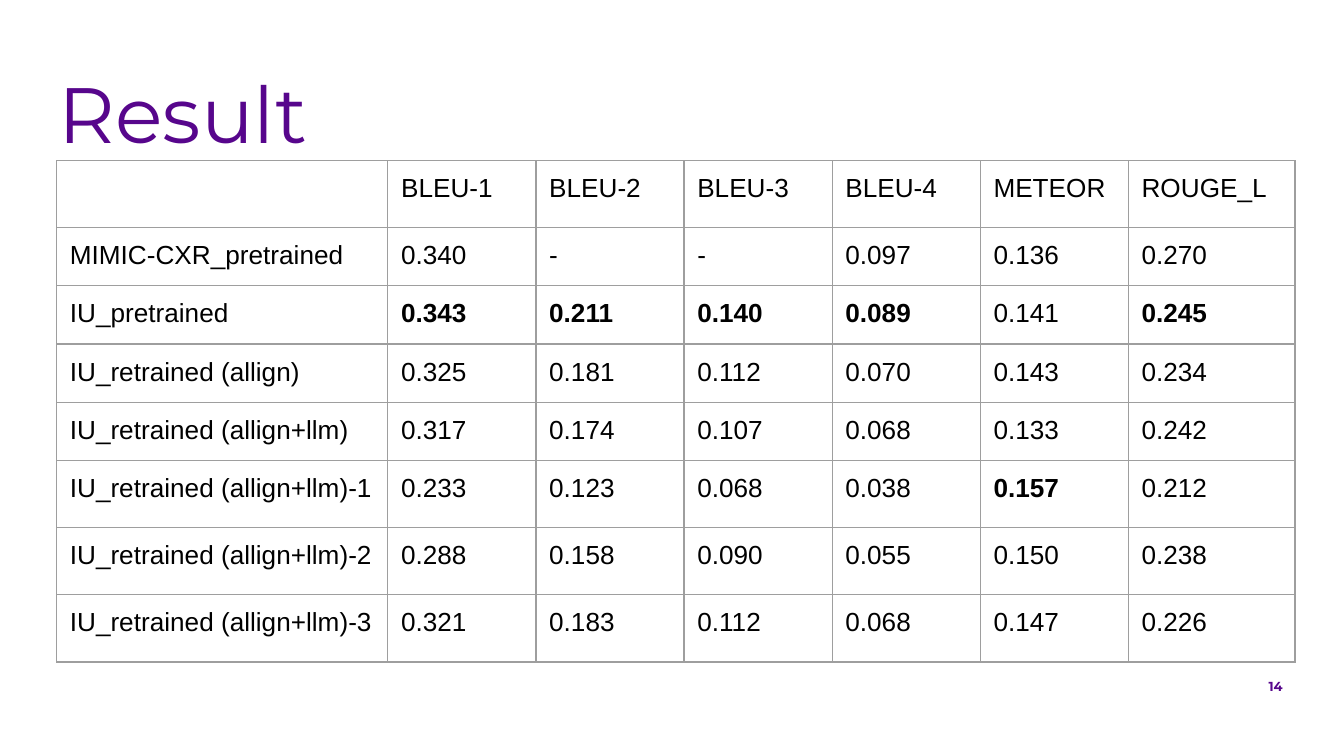
from lxml import etree
from pptx import Presentation
from pptx.dml.color import RGBColor
from pptx.enum.text import MSO_ANCHOR, PP_ALIGN
from pptx.oxml.ns import qn
from pptx.util import Cm, Pt

PURPLE = RGBColor(0x57, 0x06, 0x8C)
BLACK = RGBColor(0x00, 0x00, 0x00)
WHITE = RGBColor(0xFF, 0xFF, 0xFF)
GRID = RGBColor(0x9E, 0x9E, 0x9E)

INSET = Cm(0.25)
MARGINS = dict.fromkeys(
    ("margin_left", "margin_right", "margin_top", "margin_bottom"), INSET)
TITLE_FONT = {"name": "Montserrat", "size": Pt(42), "bold": False}
NUMBER_FONT = {"name": "Montserrat", "size": Pt(7), "bold": True}
CELL_FONT = {"name": "Arial", "size": Pt(14)}

HEADER = ["", "BLEU-1", "BLEU-2", "BLEU-3", "BLEU-4", "METEOR", "ROUGE_L"]
SCORES = [
    ["MIMIC-CXR_pretrained", "0.340", "-", "-", "0.097", "0.136", "0.270"],
    ["IU_pretrained", "0.343", "0.211", "0.140", "0.089", "0.141", "0.245"],
    ["IU_retrained (allign)", "0.325", "0.181", "0.112", "0.070", "0.143", "0.234"],
    ["IU_retrained (allign+llm)", "0.317", "0.174", "0.107", "0.068", "0.133", "0.242"],
    ["IU_retrained (allign+llm)-1", "0.233", "0.123", "0.068", "0.038", "0.157", "0.212"],
    ["IU_retrained (allign+llm)-2", "0.288", "0.158", "0.090", "0.055", "0.150", "0.238"],
    ["IU_retrained (allign+llm)-3", "0.321", "0.183", "0.112", "0.068", "0.147", "0.226"],
]
COL_WIDTHS = [6.26] + [2.8] * 5 + [3.15]
ROW_HEIGHTS = [1.23] + [1.1] * 4 + [1.27] * 3


def set_all(obj, values):
    for name, value in values.items():
        setattr(obj, name, value)


def write(tf, text, font, color):
    """Put one formatted run in the first paragraph and return the paragraph."""
    p = tf.paragraphs[0]
    r = p.add_run()
    r.text = text
    set_all(r.font, font)
    r.font.color.rgb = color
    return p


def add_borders(cell):
    tcPr = cell._tc.get_or_add_tcPr()
    for side in ("a:lnL", "a:lnR", "a:lnT", "a:lnB"):
        ln = etree.SubElement(tcPr, qn(side), w=str(Pt(0.75)))
        fill = etree.SubElement(ln, qn("a:solidFill"))
        etree.SubElement(fill, qn("a:srgbClr"), val=str(GRID))


def add_title(slide, text, box):
    sp = slide.shapes.title
    sp.left, sp.top, sp.width, sp.height = box
    tf = sp.text_frame
    set_all(tf, {**MARGINS, "word_wrap": True, "vertical_anchor": MSO_ANCHOR.TOP})
    p = write(tf, text, TITLE_FONT, PURPLE)
    set_all(p, {"alignment": PP_ALIGN.LEFT, "line_spacing": 0.85, "space_before": Pt(0)})


def add_score_table(slide, left, top):
    rows = [HEADER] + SCORES
    width, height = Cm(sum(COL_WIDTHS)), Cm(sum(ROW_HEIGHTS))
    frame = slide.shapes.add_table(len(rows), len(HEADER), left, top, width, height)
    table = frame.table
    set_all(table, {"first_row": False, "horz_banding": False})
    for col, w in zip(table.columns, COL_WIDTHS):
        col.width = Cm(w)
    for row, h in zip(table.rows, ROW_HEIGHTS):
        row.height = Cm(h)

    # The best score of the IU models in each column is bold
    iu_rows = [row for row in SCORES if row[0].startswith("IU_")]
    best = [max(column) for column in zip(*iu_rows)]

    for i, values in enumerate(rows):
        is_iu = values in iu_rows
        for j, value in enumerate(values):
            cell = table.cell(i, j)
            set_all(cell, MARGINS)
            add_borders(cell)
            if values[0] == "IU_pretrained":
                cell.fill.solid()
                cell.fill.fore_color.rgb = WHITE
            else:
                cell.fill.background()
            if value:
                bold = is_iu and j > 0 and value == best[j]
                write(cell.text_frame, value, {**CELL_FONT, "bold": bold}, BLACK)


def add_page_number(slide, text, box):
    tf = slide.shapes.add_textbox(*box).text_frame
    set_all(tf, {**MARGINS, "word_wrap": True, "vertical_anchor": MSO_ANCHOR.MIDDLE})
    write(tf, text, NUMBER_FONT, PURPLE).alignment = PP_ALIGN.RIGHT


def main():
    prs = Presentation()
    prs.slide_width, prs.slide_height = Cm(25.4), Cm(14.29)
    slide = prs.slides.add_slide(prs.slide_layouts[5])
    add_page_number(slide, "14", (Cm(12.83), Cm(12.55), Cm(11.66), Cm(0.86)))
    add_title(slide, "Result", (Cm(0.86), Cm(1.25), Cm(23.39), Cm(1.6)))
    add_score_table(slide, Cm(1.07), Cm(3.04))
    prs.save("out.pptx")


if __name__ == "__main__":
    main()
